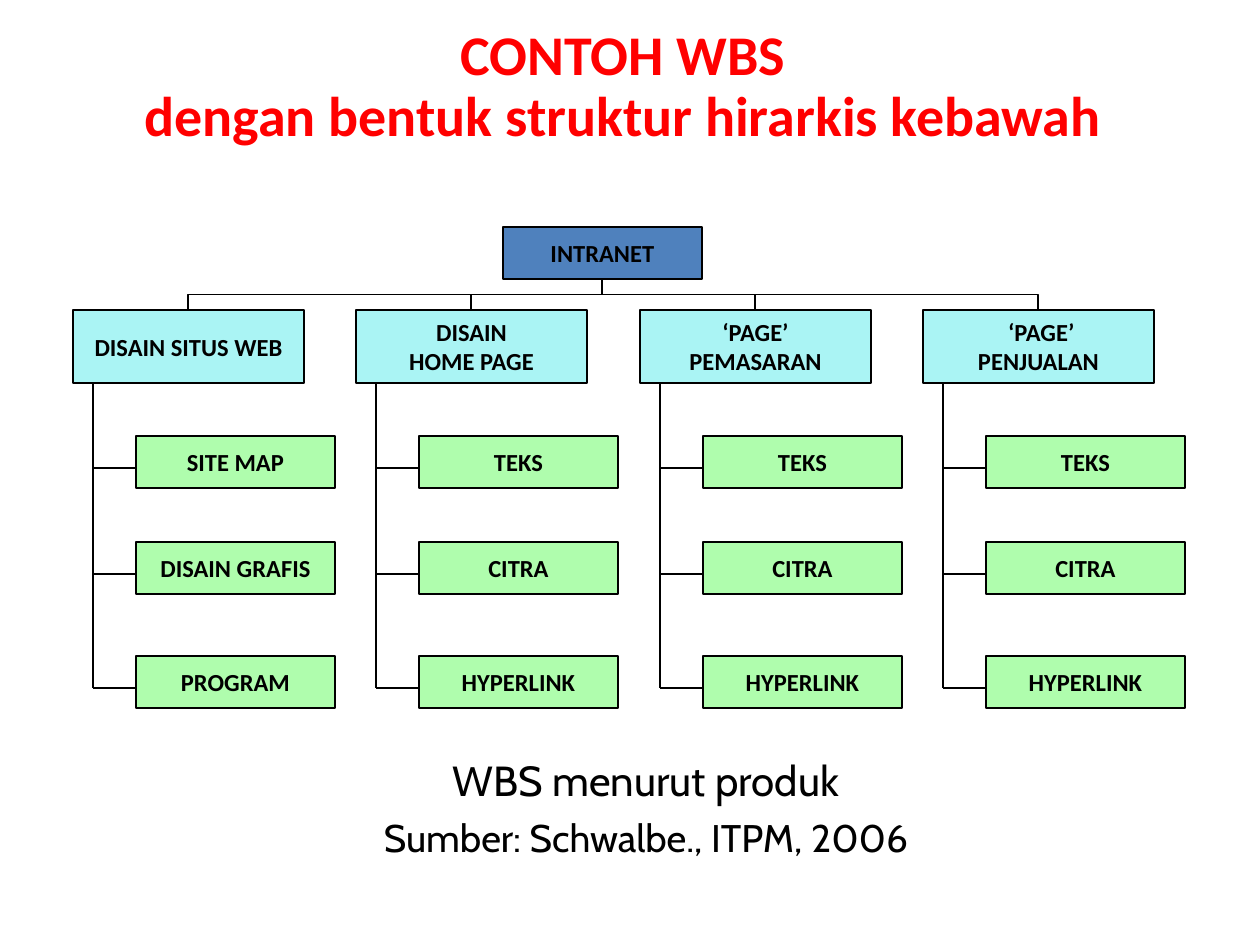
"""Build a slide with a work breakdown structure drawn as a top-down hierarchy."""
from dataclasses import dataclass

from lxml import etree
from pptx import Presentation
from pptx import util as u
from pptx.dml.color import RGBColor
from pptx.enum import shapes, text
from pptx.oxml.ns import qn

EMU_PER_PX = 914400 / 126

BLACK = RGBColor(0x00, 0x00, 0x00)
RED = RGBColor(0xFF, 0x00, 0x00)
BLUE = RGBColor(0x4F, 0x81, 0xBD)
CYAN = RGBColor(0xAA, 0xF4, 0xF4)
GREEN = RGBColor(0xAF, 0xFD, 0xAD)

LINE_WIDTH = u.Pt(0.75)
BRANCH_TOP = 310
STEM_OFFSET = 20
LEAF_OFFSET = 63
TICK_OFFSET = 32
LEAF_TOPS = (436, 542, 656)


@dataclass(frozen=True)
class Box:
    left: int
    top: int
    width: int
    height: int

    @property
    def center(self) -> int:
        return self.left + self.width // 2

    @property
    def bottom(self) -> int:
        return self.top + self.height


@dataclass(frozen=True)
class Line:
    words: str
    size: int
    format: dict


@dataclass(frozen=True)
class Branch:
    title: tuple[str, ...]
    leaves: tuple[str, ...]


PAGE_PARTS = ("TEKS", "CITRA", "HYPERLINK")
BRANCHES = (
    Branch(("DISAIN SITUS WEB",), ("SITE MAP", "DISAIN GRAFIS", "PROGRAM")),
    Branch(("DISAIN", "HOME PAGE"), PAGE_PARTS),
    Branch((" ‘PAGE’ ", "PEMASARAN"), PAGE_PARTS),
    Branch((" ‘PAGE’", "PENJUALAN"), PAGE_PARTS),
)
ROOT = Box(503, 227, 199, 52)
TITLE_FORMAT = {"line_spacing": 0.9}
TITLE = (
    Line("CONTOH WBS ", 32, TITLE_FORMAT),
    Line("dengan bentuk struktur hirarkis kebawah ", 32, TITLE_FORMAT),
)
CAPTION = (
    Line("WBS menurut produk", 24, {"space_before": u.Pt(6)}),
    Line("Sumber: Schwalbe., ITPM, 2006", 22, {"space_before": u.Pt(5.5)}),
)


def px(length: float) -> u.Emu:
    return u.Emu(round(length * EMU_PER_PX))


def apply(target, values: dict) -> None:
    for name, value in values.items():
        setattr(target, name, value)


def write(frame, lines: tuple[Line, ...], font: str, color: RGBColor, bold: bool) -> None:
    for index, line in enumerate(lines):
        paragraph = frame.add_paragraph() if index else frame.paragraphs[0]
        apply(paragraph, {"alignment": text.PP_ALIGN.CENTER, **line.format})
        run = paragraph.add_run()
        run.text = line.words
        apply(run.font, {"name": font, "size": u.Pt(line.size), "bold": bold})
        run.font.color.rgb = color


def add_text(slide, box: Box, lines: tuple[Line, ...], font: str, color: RGBColor,
             bold: bool, frame_format: dict) -> None:
    shape = slide.shapes.add_textbox(px(box.left), px(box.top), px(box.width), px(box.height))
    apply(shape.text_frame, {"word_wrap": True, **frame_format})
    write(shape.text_frame, lines, font, color, bold)


def add_node(slide, box: Box, words: tuple[str, ...], color: RGBColor) -> None:
    shape = slide.shapes.add_shape(
        shapes.MSO_SHAPE.RECTANGLE, px(box.left), px(box.top), px(box.width), px(box.height))
    shape.shadow.inherit = False
    shape.fill.solid()
    shape.fill.fore_color.rgb = color
    shape.line.color.rgb = BLACK
    shape.line.width = LINE_WIDTH
    apply(shape.text_frame, {"word_wrap": False, "vertical_anchor": text.MSO_ANCHOR.MIDDLE})
    write(shape.text_frame, tuple(Line(part, 14, {}) for part in words), "Calibri", BLACK, True)


def add_line(slide, begin: tuple[float, float], end: tuple[float, float],
             kind=shapes.MSO_CONNECTOR.STRAIGHT):
    connector = slide.shapes.add_connector(kind, *map(px, begin + end))
    connector.line.color.rgb = BLACK
    connector.line.width = LINE_WIDTH
    etree.SubElement(connector._element.spPr, qn("a:effectLst"))
    return connector


def add_elbow(slide, child: Box, parent: Box) -> None:
    """Join child top to parent bottom with an elbow turned to leave vertically."""
    middle_x = (child.center + parent.center) / 2
    middle_y = (child.top + parent.bottom) / 2
    half_height = abs(parent.center - child.center) / 2
    is_left = child.center < parent.center
    half_width = (child.top - parent.bottom) / 2 * (1 if is_left else -1)
    connector = add_line(
        slide,
        (middle_x + half_width, middle_y + half_height),
        (middle_x - half_width, middle_y - half_height),
        shapes.MSO_CONNECTOR.ELBOW)
    degrees = 90 if is_left else 270
    connector._element.spPr.find(qn("a:xfrm")).set("rot", str(degrees * 60000))


def add_branch(slide, branch: Branch, box: Box) -> None:
    add_node(slide, box, branch.title, CYAN)
    add_elbow(slide, box, ROOT)
    stem = box.left + STEM_OFFSET
    leaf_left = box.left + LEAF_OFFSET
    add_line(slide, (stem, box.bottom), (stem, LEAF_TOPS[-1] + TICK_OFFSET))
    for top, words in zip(LEAF_TOPS, branch.leaves):
        add_node(slide, Box(leaf_left, top, ROOT.width, ROOT.height), (words,), GREEN)
        add_line(slide, (stem, top + TICK_OFFSET), (leaf_left, top + TICK_OFFSET))


def main() -> None:
    presentation = Presentation()
    apply(presentation, {"slide_width": px(1260), "slide_height": px(945)})
    slide = presentation.slides.add_slide(presentation.slide_layouts[6])
    no_margins = dict.fromkeys(
        ("margin_left", "margin_top", "margin_right", "margin_bottom"), 0)
    add_text(slide, Box(94, 20, 1071, 136), TITLE, "Calibri", RED, True,
             {"vertical_anchor": text.MSO_ANCHOR.MIDDLE, **no_margins})
    add_text(slide, Box(63, 748, 1166, 120), CAPTION, "Cabin", BLACK, False, {})
    add_node(slide, ROOT, ("INTRANET",), BLUE)
    for index, branch in enumerate(BRANCHES):
        add_branch(slide, branch, Box(73 + index * 567 // 2, BRANCH_TOP, 231, 73))
    presentation.save("out.pptx")


if __name__ == "__main__":
    main()
